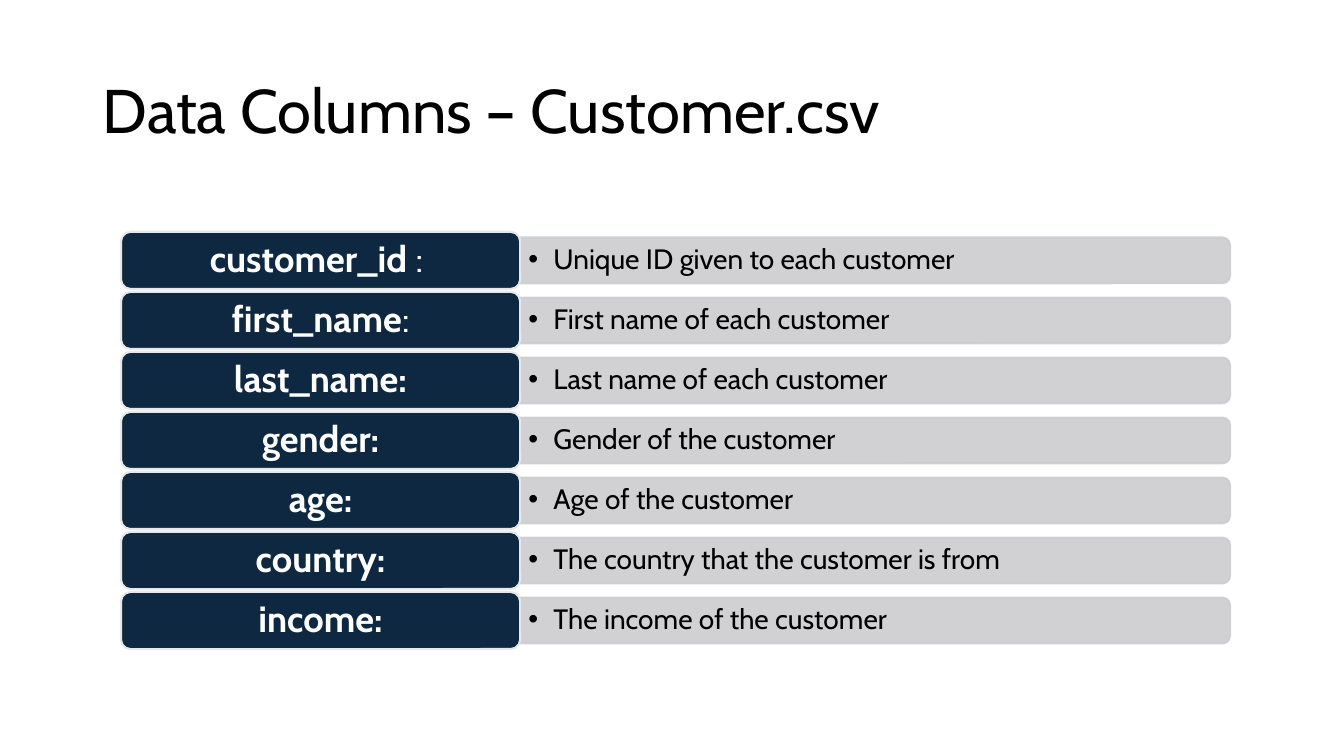
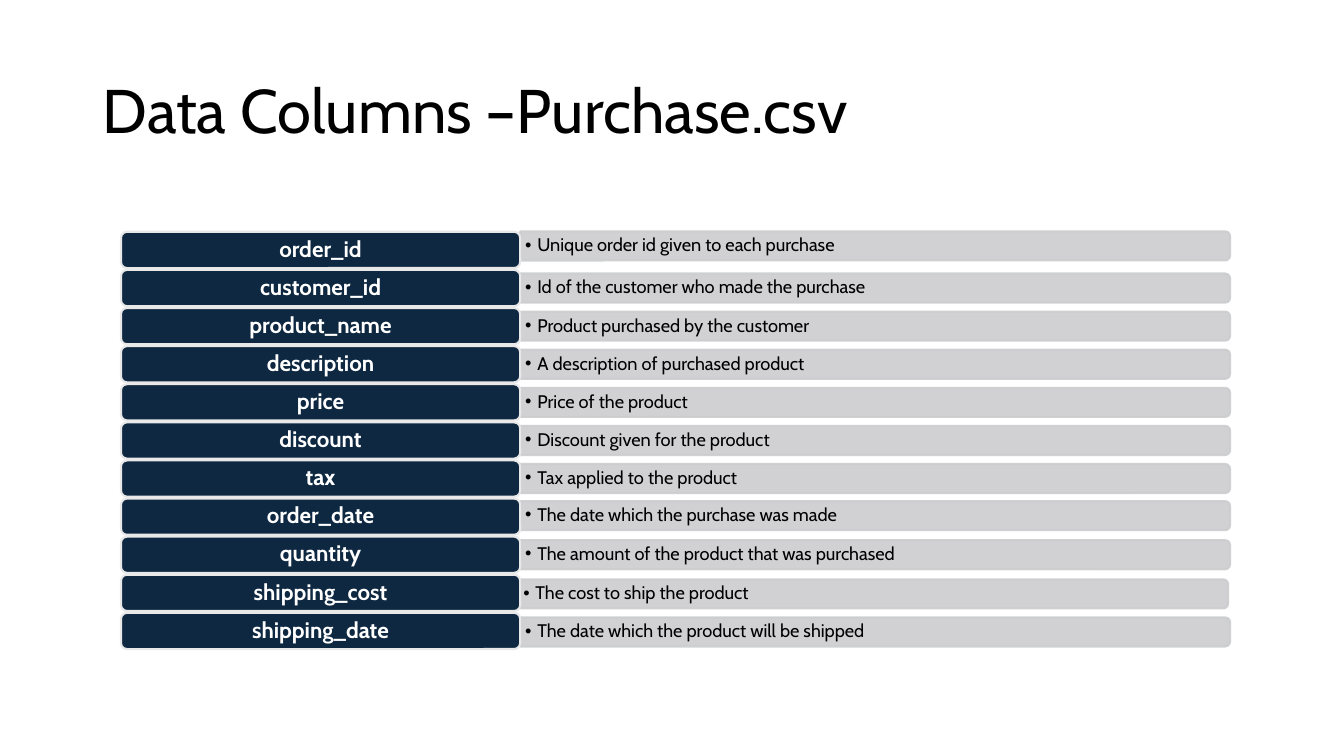
from dataclasses import dataclass

from lxml import etree
from pptx import Presentation
from pptx.dml.color import RGBColor
from pptx.enum.shapes import MSO_SHAPE
from pptx.enum.text import MSO_ANCHOR, MSO_AUTO_SIZE, PP_ALIGN
from pptx.oxml.ns import qn
from pptx.util import Inches, Pt

PILL, BAND = MSO_SHAPE.ROUNDED_RECTANGLE, MSO_SHAPE.ROUND_2_SAME_RECTANGLE
LEFT, CENTER = PP_ALIGN.LEFT, PP_ALIGN.CENTER
MIDDLE, NO_FIT = MSO_ANCHOR.MIDDLE, MSO_AUTO_SIZE.NONE
TITLE_ONLY = 5


@dataclass(frozen=True)
class Theme:
    font: str = "Cabin"
    ink: str = "000000"
    paper: str = "FFFFFF"
    navy: str = "0E2841"
    edge: str = "E8E8E8"
    gray: str = "CCCDCF"
    alpha: int = 90
    title: int = 44
    line: float = 1.5
    lead: float = 0.9


@dataclass(frozen=True)
class Scale:
    """Type sizes in points, inset and indent in inches."""
    name: int
    note: int
    inset: float
    indent: float


THEME = Theme()
LARGE = Scale(26, 20, 0.08, 0.25)
SMALL = Scale(16, 13, 0.05, 0.12)

# Boxes are left, top, width, height in inches
WIDTH, HEIGHT = 13.33, 7.5
TITLE_BOX = (0.92, 0.4, 11.5, 1.45)
LIST_BOX = (1.2, 2.3, 11.0, 4.14)

# Shares: name column of the list, gap and band of a row
NAME_SHARE, GAP_SHARE, BAND_SHARE = 0.36, 0.05, 0.8

CUSTOMER = [
    (("customer_id ", ": "), "Unique ID given to each customer"),
    (("first_name", ":"), "First name of each customer"),
    (("last_name:",), "Last name of each customer"),
    (("gender:",), "Gender of the customer"),
    (("age:",), "Age of the customer"),
    (("country:",), "The country that the customer is from"),
    (("income:",), "The income of the customer"),
]
PURCHASE = [
    (("order_id",), "Unique order id given to each purchase"),
    (("customer_id",), "Id of the customer who made the purchase"),
    (("product_name",), "Product purchased by the customer"),
    (("description",), "A description of purchased product"),
    (("price",), "Price of the product"),
    (("discount",), "Discount given for the product"),
    (("tax",), "Tax applied to the product"),
    (("order_date",), "The date which the purchase was made"),
    (("quantity",), "The amount of the product that was purchased"),
    (("shipping_cost",), "The cost to ship the product"),
    (("shipping_date",), "The date which the product will be shipped"),
]
# Row number to band offset (x, y) in inches
SHIFTS = {0: (0, -0.04), 7: (0, -0.01), 9: (-0.02, 0.01), 10: (0, 0.01)}


def write(frame, runs, size, color=THEME.ink, bold=False, align=LEFT,
          inset=0.1, indent=0):
    """Write one paragraph; only its first run can be bold."""
    frame.word_wrap = True
    frame.auto_size = NO_FIT
    frame.vertical_anchor = MIDDLE
    frame.margin_left = frame.margin_right = Inches(inset)
    frame.margin_top = frame.margin_bottom = 0
    para = frame.paragraphs[0]
    para.alignment = align
    para.line_spacing = THEME.lead
    for num, words in enumerate(runs):
        run = para.add_run()
        run.text = words
        run.font.name = THEME.font
        run.font.size = Pt(size)
        run.font.bold = bold and num == 0
        run.font.color.rgb = RGBColor.from_string(color)
    if indent:
        props = para._p.get_or_add_pPr()
        props.set("marL", str(Inches(indent)))
        props.set("indent", str(-Inches(indent)))
        etree.SubElement(props, qn("a:buFont"), typeface="Arial")
        etree.SubElement(props, qn("a:buChar"), char="•")


def draw(slide, kind, box, fill, line, alpha=100):
    """Add a flat preset shape, see-through if alpha is below 100."""
    shape = slide.shapes.add_shape(kind, *map(Inches, box))
    shape.shadow.inherit = False
    shape.fill.solid()
    shape.fill.fore_color.rgb = RGBColor.from_string(fill)
    shape.line.color.rgb = RGBColor.from_string(line)
    shape.line.width = Pt(THEME.line)
    if alpha < 100:
        for color in shape.element.spPr.iter(qn("a:srgbClr")):
            etree.SubElement(color, qn("a:alpha"), val=str(alpha * 1000))
    return shape


def add_note(slide, box, note, scale):
    """Gray band, rounded on its right side, with a bullet text."""
    x, y, w, h = box
    # The band is turned, so its sides swap about the same centre
    turned = (x + (w - h) / 2, y + (h - w) / 2, h, w)
    band = draw(slide, BAND, turned, THEME.gray, THEME.gray, THEME.alpha)
    band.rotation = 90
    label = slide.shapes.add_textbox(*map(Inches, box))
    write(label.text_frame, [note], scale.note, inset=scale.inset,
          indent=scale.indent)


def add_name(slide, box, runs, scale):
    """Navy pill with a column name."""
    pill = draw(slide, PILL, box, THEME.navy, THEME.edge)
    write(pill.text_frame, runs, scale.name, color=THEME.paper, bold=True,
          align=CENTER)


def add_list(slide, box, rows, scale, shifts):
    """Rows of equal height that fill the box."""
    x, y, w, h = box
    count = len(rows)
    tall = h / (count + GAP_SHARE * (count - 1))
    step = tall * (1 + GAP_SHARE)
    split = w * NAME_SHARE
    thick = tall * BAND_SHARE
    for num, (runs, note) in enumerate(rows):
        top = y + num * step
        dx, dy = shifts.get(num, (0, 0))
        band = (x + split + dx, top + (tall - thick) / 2 + dy,
                w - split, thick)
        add_note(slide, band, note, scale)
        add_name(slide, (x, top, split, tall), runs, scale)


def add_page(deck, title, rows, scale, shifts):
    """Slide with a title and a list of data columns."""
    slide = deck.slides.add_slide(deck.slide_layouts[TITLE_ONLY])
    head = slide.shapes.title
    head.left, head.top, head.width, head.height = map(Inches, TITLE_BOX)
    write(head.text_frame, [title], THEME.title)
    add_list(slide, LIST_BOX, rows, scale, shifts)


def main():
    deck = Presentation()
    deck.slide_width, deck.slide_height = Inches(WIDTH), Inches(HEIGHT)
    add_page(deck, "Data Columns – Customer.csv", CUSTOMER, LARGE, {})
    add_page(deck, "Data Columns –Purchase.csv", PURCHASE, SMALL, SHIFTS)
    deck.save("out.pptx")


if __name__ == "__main__":
    main()
